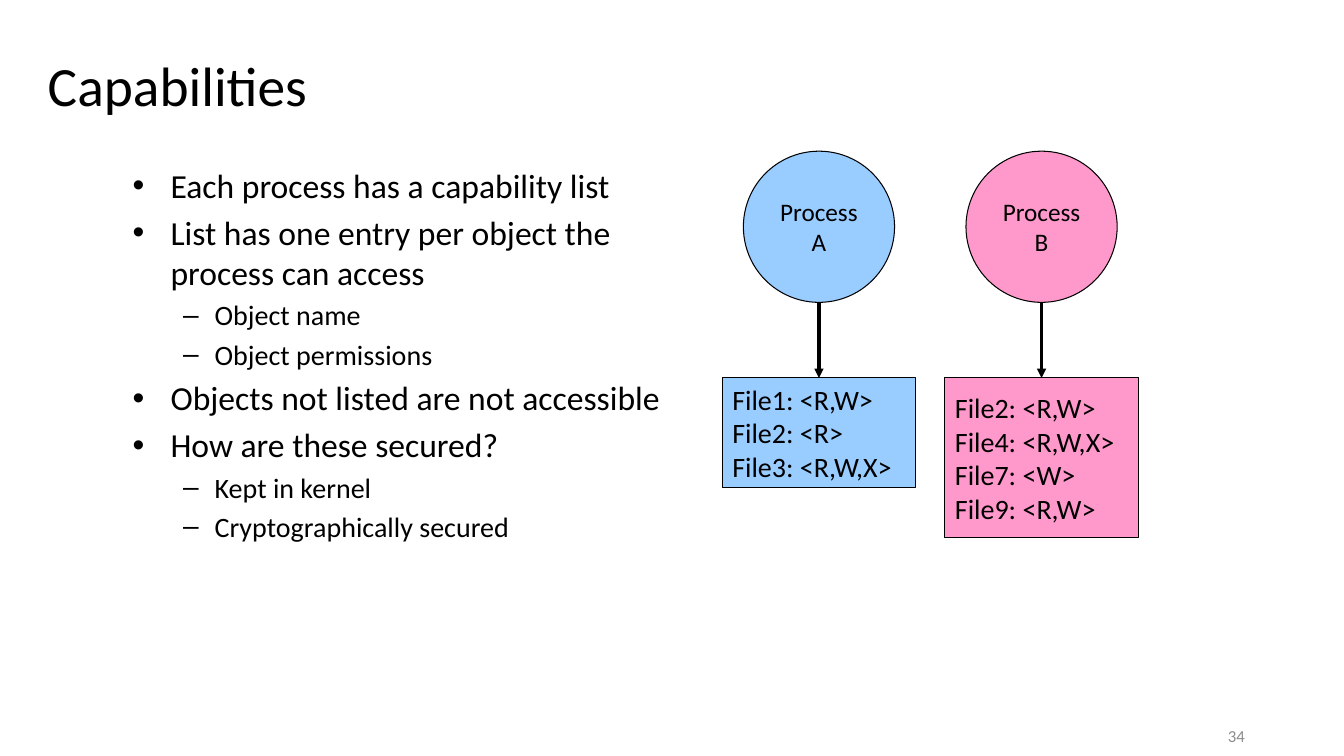
"""Builds a slide on capability lists with two example processes."""
from dataclasses import dataclass

from pptx import Presentation, util as u
from pptx.dml.color import RGBColor
from pptx.enum import shapes, text
from pptx.oxml.ns import qn
from lxml import etree


@dataclass(frozen=True)
class Theme:
    font: str = "Calibri"
    bullet_font: str = "Arial"
    ink: str = "000000"
    muted: str = "8C8C8C"
    blue: str = "99CCFF"
    pink: str = "FF99CC"
    title: float = 39.6
    point: float = 24
    detail: float = 20
    label: float = 18
    footer: float = 12
    outline: float = 0.75
    arrow: float = 2.25


@dataclass(frozen=True)
class Level:
    bullet: str
    size: float
    margin: int
    hang: int


@dataclass(frozen=True)
class Process:
    name: str
    capabilities: str
    color: str
    center: int
    list_height: int


THEME = Theme()
POINT = Level("•", THEME.point, 36, 36)
DETAIL = Level("–", THEME.detail, 78, 30)

POINTS = [
    (POINT, "Each process has a capability list"),
    (POINT, "List has one entry per object the process can access"),
    (DETAIL, "Object name"),
    (DETAIL, "Object permissions"),
    (POINT, "Objects not listed are not accessible"),
    (POINT, "How are these secured?"),
    (DETAIL, "Kept in kernel"),
    (DETAIL, "Cryptographically secured"),
]

PROCESSES = [
    Process("Process\nA", "File1: <R,W>\nFile2: <R>\nFile3: <R,W,X>",
            THEME.blue, 780, 104),
    Process("Process\nB", "File2: <R,W>\nFile4: <R,W,X>\nFile7: <W>\nFile9: <R,W>",
            THEME.pink, 992, 152),
]

CIRCLE_TOP, CIRCLE_SIZE = 144, 144
LIST_TOP, LIST_WIDTH = 360, 184


def px(length: int) -> int:
    return u.Emu(length * 9525)


def write(paragraph, words: str, *, size: float, color: str = THEME.ink,
          align=text.PP_ALIGN.LEFT) -> None:
    paragraph.text = words
    paragraph.alignment = align
    for run in paragraph.runs:
        run.font.name = THEME.font
        run.font.size = u.Pt(size)
        run.font.color.rgb = RGBColor.from_string(color)


def add_frame(slide, left: int, top: int, width: int, height: int,
              anchor=text.MSO_ANCHOR.MIDDLE):
    frame = slide.shapes.add_textbox(*map(px, (left, top, width, height))).text_frame
    frame.word_wrap = True
    frame.vertical_anchor = anchor
    return frame


def add_points(slide) -> None:
    body = add_frame(slide, 117, 152, 558, 520, text.MSO_ANCHOR.TOP)
    for index, (level, words) in enumerate(POINTS):
        point = body.add_paragraph() if index else body.paragraphs[0]
        write(point, words, size=level.size)
        point.space_before = u.Pt(level.size * 0.2)
        properties = point._p.get_or_add_pPr()
        properties.set("marL", str(px(level.margin)))
        properties.set("indent", str(-px(level.hang)))
        etree.SubElement(properties, qn("a:buFont"), typeface=THEME.bullet_font)
        etree.SubElement(properties, qn("a:buChar"), char=level.bullet)


def add_node(slide, kind, left: int, top: int, width: int, height: int,
             color: str, words: str, size: float, align) -> None:
    node = slide.shapes.add_shape(kind, *map(px, (left, top, width, height)))
    node.shadow.inherit = False
    node.fill.solid()
    node.fill.fore_color.rgb = RGBColor.from_string(color)
    node.line.color.rgb = RGBColor.from_string(THEME.ink)
    node.line.width = u.Pt(THEME.outline)
    node.text_frame.word_wrap = True
    node.text_frame.vertical_anchor = text.MSO_ANCHOR.MIDDLE
    write(node.text_frame.paragraphs[0], words, size=size, align=align)


def add_arrow(slide, x: int, top: int, bottom: int) -> None:
    arrow = slide.shapes.add_connector(
        shapes.MSO_CONNECTOR.STRAIGHT, px(x), px(top), px(x), px(bottom))
    arrow.line.color.rgb = RGBColor.from_string(THEME.ink)
    arrow.line.width = u.Pt(THEME.arrow)
    etree.SubElement(arrow.line._get_or_add_ln(), qn("a:tailEnd"), type="triangle")
    etree.SubElement(arrow._element.spPr, qn("a:effectLst"))


def add_process(slide, process: Process) -> None:
    add_node(slide, shapes.MSO_SHAPE.RECTANGLE, process.center - LIST_WIDTH // 2,
             LIST_TOP, LIST_WIDTH, process.list_height, process.color,
             process.capabilities, THEME.detail, text.PP_ALIGN.LEFT)
    add_arrow(slide, process.center, CIRCLE_TOP + CIRCLE_SIZE, LIST_TOP)
    add_node(slide, shapes.MSO_SHAPE.OVAL, process.center - CIRCLE_SIZE // 2,
             CIRCLE_TOP, CIRCLE_SIZE, CIRCLE_SIZE, process.color,
             process.name, THEME.label, text.PP_ALIGN.CENTER)


def main() -> None:
    deck = Presentation()
    deck.slide_width, deck.slide_height = px(1280), px(720)
    slide = deck.slides.add_slide(deck.slide_layouts[6])
    title = add_frame(slide, 36, 48, 1088, 64)
    write(title.paragraphs[0], "Capabilities", size=THEME.title)
    add_points(slide)
    for process in PROCESSES:
        add_process(slide, process)
    page_number = add_frame(slide, 1141, 688, 54, 26)
    write(page_number.paragraphs[0], "34", size=THEME.footer,
          color=THEME.muted, align=text.PP_ALIGN.RIGHT)
    deck.save("out.pptx")


if __name__ == "__main__":
    main()
